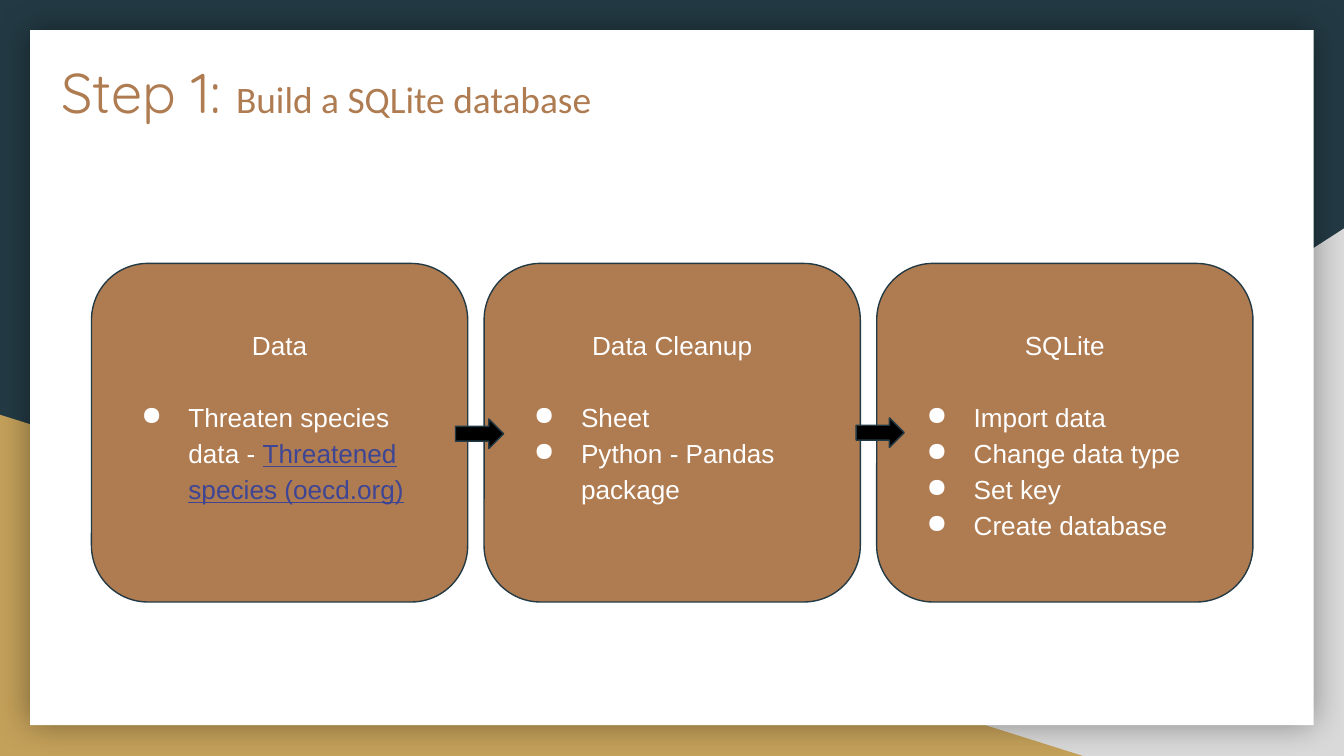
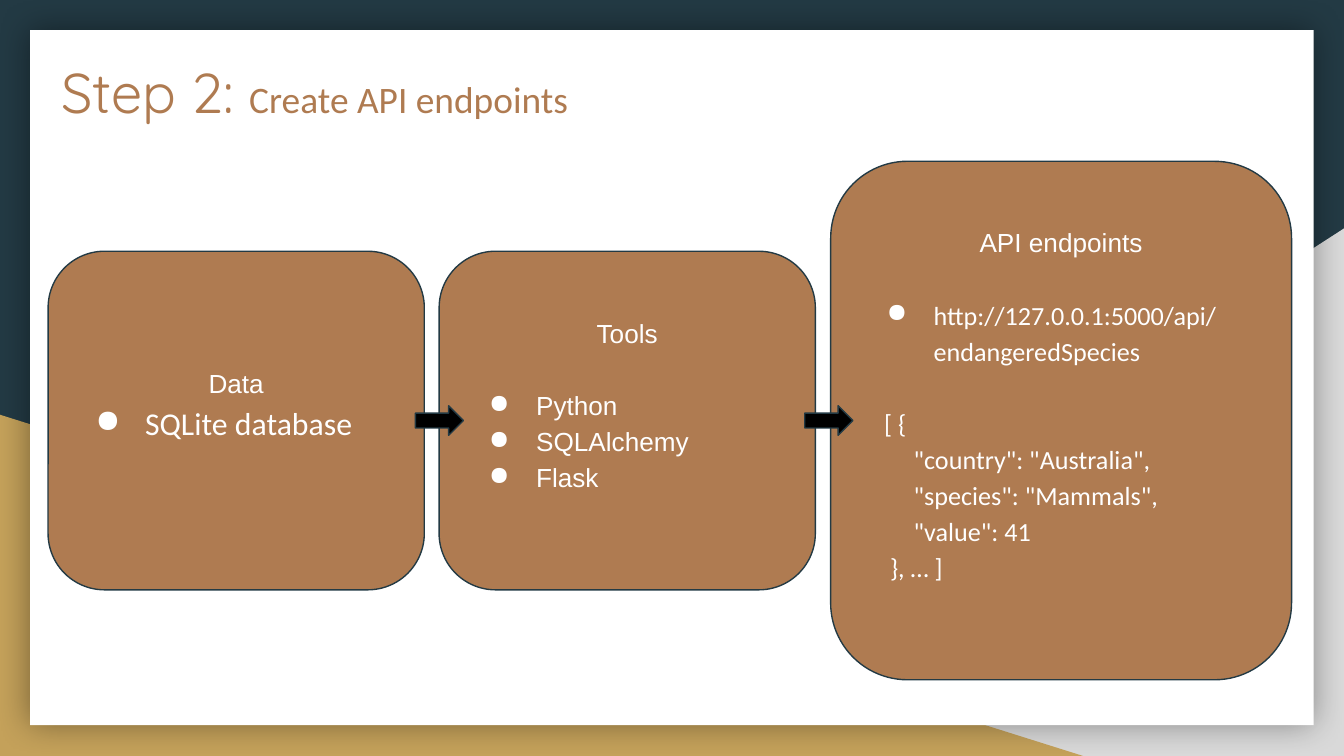
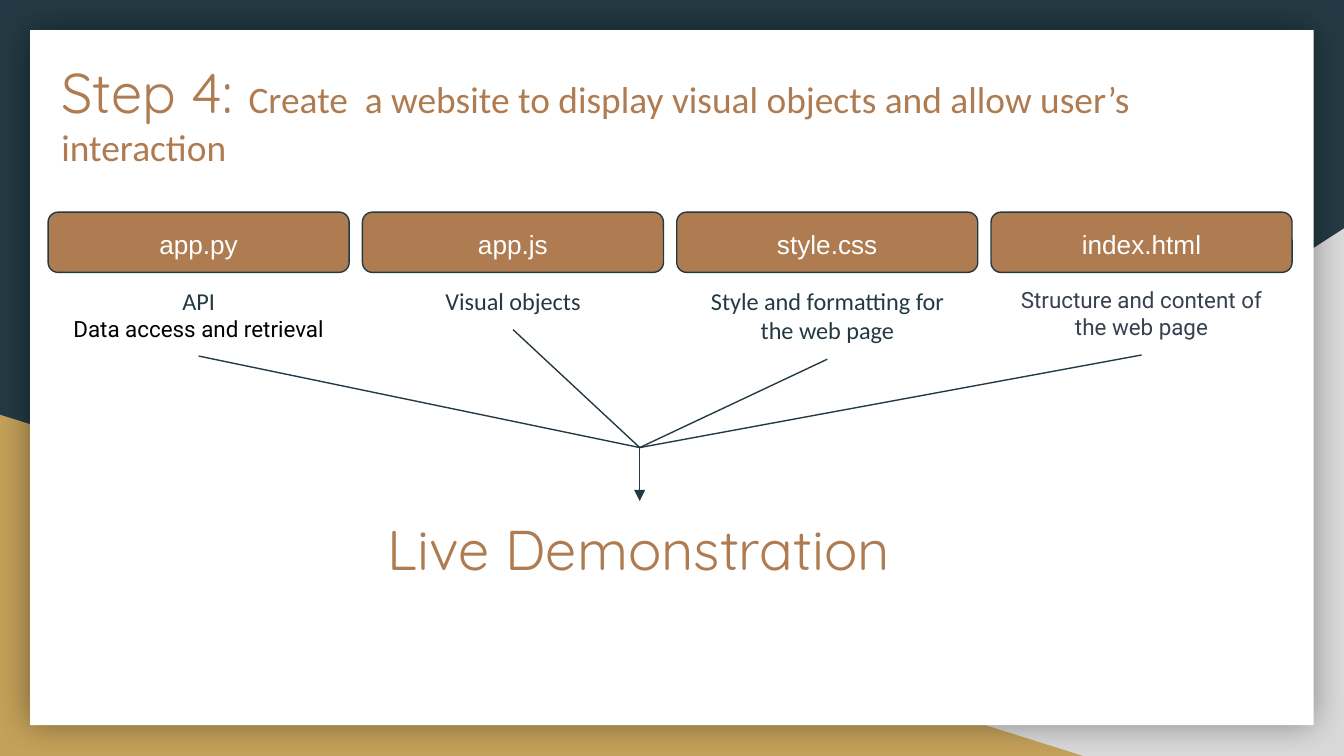
from lxml.etree import SubElement
from pptx import Presentation
from pptx.dml.color import RGBColor
from pptx.enum.shapes import MSO_CONNECTOR, MSO_SHAPE
from pptx.enum.text import MSO_ANCHOR, MSO_AUTO_SIZE, PP_ALIGN
from pptx.oxml.ns import qn
from pptx.util import Cm, Pt

NAVY, GOLD, GRAY, BROWN = "233A44", "C4A15A", "D9D9D9", "AF7B51"
WHITE, BLACK, SLATE, BLUE = "FFFFFF", "000000", "374151", "3D4594"
INSET, BLANK = 0.25, 19.4


def paint(target, hue):
    if hasattr(target, "solid"):
        target.solid()
        target = target.fore_color
    else:
        target = target.color
    target.rgb = RGBColor.from_string(hue)


class Deck:
    """Holds the shared style and the slide being filled."""

    def __init__(self):
        self.file = Presentation()
        self.file.slide_width, self.file.slide_height = Cm(25.4), Cm(14.29)
        self.layout = self.file.slide_layouts[5]
        self.slide = None

    def start(self, step, topic, width=20.86):
        first = self.slide is None
        self.slide = self.file.slides.add_slide(self.layout)
        if first:
            self.frame()
        title = self.slide.shapes.title
        title.left, title.top, title.width, title.height = map(Cm, (0.91, 0.83, width, 2.64))
        para = self.setup(title, MSO_ANCHOR.TOP).paragraphs[0]
        para.alignment = PP_ALIGN.LEFT
        self.label(para, step + " ", "Quicksand", 30, BROWN)
        self.label(para, topic, "Calibri", 20, BROWN)

    def frame(self):
        paint(self.layout.background.fill, NAVY)
        wedge = self.shape(MSO_SHAPE.RIGHT_TRIANGLE, (9.96, 4.32, 15.44, 9.97), GRAY)
        wedge._element.spPr.xfrm.set("flipH", "1")
        slope = self.shape(MSO_SHAPE.RIGHT_TRIANGLE, (0, 7.84, 20.47, 6.45), GOLD)
        page = self.shape(MSO_SHAPE.RECTANGLE, (0.57, 0.57, 24.26, 13.14), WHITE)
        effect = page._element.spPr.find(qn("a:effectLst"))
        shade = SubElement(effect, qn("a:outerShdw"), blurRad=str(Pt(18)), dist="0", dir="0",
                           algn="ctr", rotWithShape="0")
        tint = SubElement(shade, qn("a:srgbClr"), val=BLACK)
        SubElement(tint, qn("a:alpha"), val="40000")
        tree = self.layout.shapes._spTree
        for place, part in enumerate((wedge, slope, page), 2):
            tree.insert(place, part._element)

    def shape(self, kind, box, fill, line=None):
        shape = self.slide.shapes.add_shape(kind, *map(Cm, box))
        shape.shadow.inherit = False
        paint(shape.fill, fill)
        if line:
            paint(shape.line, line)
            shape.line.width = Pt(0.75)
        else:
            shape.line.fill.background()
        return shape

    def setup(self, shape, anchor, tail=False, grow=False):
        frame = shape.text_frame
        frame.word_wrap = True
        frame.auto_size = MSO_AUTO_SIZE.SHAPE_TO_FIT_TEXT if grow else MSO_AUTO_SIZE.NONE
        frame.vertical_anchor = anchor
        frame.margin_left = frame.margin_right = frame.margin_top = Cm(INSET)
        frame.margin_bottom = Cm(INSET) + (Pt(BLANK) if tail else 0)
        return frame

    def label(self, para, text, face, size, hue):
        run = para.add_run()
        run.text = text
        run.font.name, run.font.size = face, Pt(size)
        paint(run.font.fill, hue)
        return run

    def bullet(self, para, hang):
        props = para._p.get_or_add_pPr()
        props.set("marL", str(Cm(1.27)))
        props.set("indent", str(-Cm(hang)))
        SubElement(SubElement(props, qn("a:buClr")), qn("a:srgbClr"), val=WHITE)
        SubElement(props, qn("a:buChar"), char="●")

    def card(self, box, head, items=(), code=(), face="Arial", size=14,
             hang=0.89, gap=True, tail=True):
        card = self.shape(MSO_SHAPE.ROUNDED_RECTANGLE, box, BROWN, NAVY)
        frame = self.setup(card, MSO_ANCHOR.MIDDLE, tail)
        para = frame.paragraphs[0]
        para.alignment, para.line_spacing = PP_ALIGN.CENTER, 1.15
        self.label(para, head, "Arial", 14, WHITE)
        if items and gap:
            para.space_after = Pt(BLANK)
        for place, text in enumerate((*items, *code)):
            para = frame.add_paragraph()
            if place < len(items):
                self.bullet(para, hang)
            elif place == len(items):
                para.space_before = Pt(BLANK)
            para.alignment, para.line_spacing = PP_ALIGN.LEFT, 1.15
            self.label(para, text, face, size, WHITE)
        return card

    def arrow(self, left, top):
        self.shape(MSO_SHAPE.RIGHT_ARROW, (left, top, 0.91, 0.56), BLACK, NAVY)

    def note(self, box, *lines):
        note = self.slide.shapes.add_textbox(*map(Cm, box))
        frame = self.setup(note, MSO_ANCHOR.TOP, grow=True)
        for place, line in enumerate(lines):
            para = frame.add_paragraph() if place else frame.paragraphs[0]
            para.alignment = PP_ALIGN.CENTER
            self.label(para, *line)
        return note

    def line(self, start, end, head=False):
        line = self.slide.shapes.add_connector(MSO_CONNECTOR.STRAIGHT, *map(Cm, (*start, *end)))
        paint(line.line, NAVY)
        line.line.width = Pt(0.75)
        if head:
            SubElement(line._element.spPr.find(qn("a:ln")), qn("a:tailEnd"), type="triangle")
        SubElement(line._element.spPr, qn("a:effectLst"))
        return line


def build(deck):
    deck.start("Step 1:", "Build a SQLite database")
    stages = [
        ("Data", ["Threaten species data - "]),
        ("Data Cleanup", ["Sheet", "Python - Pandas package"]),
        ("SQLite", ["Import data", "Change data type", "Set key", "Create database"]),
    ]
    cards = [deck.card((1.73 + 7.42 * place, 4.98, 7.11, 6.4), head, items, tail=len(items) < 4)
             for place, (head, items) in enumerate(stages)]
    link = deck.label(cards[0].text_frame.paragraphs[-1], "Threatened species (oecd.org)",
                      "Arial", 14, BLUE)
    link.font.underline = True
    deck.arrow(8.61, 7.92)
    deck.arrow(16.18, 7.9)

    deck.start("Step 2:", "Create API endpoints")
    deck.card((0.91, 4.75, 7.11, 6.4), "Data", ["SQLite database"], face="Calibri", size=17,
              hang=0.94, gap=False)
    deck.card((8.3, 4.75, 7.11, 6.4), "Tools", ["Python", "SQLAlchemy", "Flask"])
    reply = [
        "   [ {",
        '        "country": "Australia",',
        '        "species": "Mammals",',
        '        "value": 41',
        "    }, … ]",
    ]
    deck.card((15.7, 3.05, 8.71, 9.8), "API endpoints",
              ["http://127.0.0.1:5000/api/endangeredSpecies"], reply, face="Calibri")
    for left in (7.85, 15.21):
        deck.arrow(left, 7.67)

    deck.start("Step 4:", "Create  a website to display visual objects and allow user’s interaction",
               23.65)
    deck.note((4.83, 9.48, 14.5, 2.21), ("Live Demonstration", "Quicksand", 30, BROWN))
    body = ("Calibri", 13, NAVY)
    files = [
        ("app.py", 6, 1.57, [("API", *body),
                             ("Data access and retrieval", "Roboto", 12, BLACK)]),
        ("app.js", 3.23, 1.07, [("Visual objects", *body)]),
        ("style.css", 5.18, 1.63, [("Style and formatting for the web page", *body)]),
        ("index.html", 5.18, 1.55, [("Structure and content of the web page",
                                     "Roboto", 12, SLATE)]),
    ]
    hub = (12.09, 8.46)
    for place, (name, width, height, lines) in enumerate(files):
        left = 0.91 + 5.94 * place
        deck.card((left, 4.01, 5.69, 1.14), name, tail=False)
        mid = left + 5.69 / 2
        note = deck.note((mid - width / 2, 5.16, width, height), *lines)
        deck.line((mid, 5.16 + height), hub).begin_connect(note, 2)
    deck.line(hub, (12.09, 9.47), head=True)


def main():
    deck = Deck()
    build(deck)
    deck.file.save("out.pptx")


if __name__ == "__main__":
    main()
